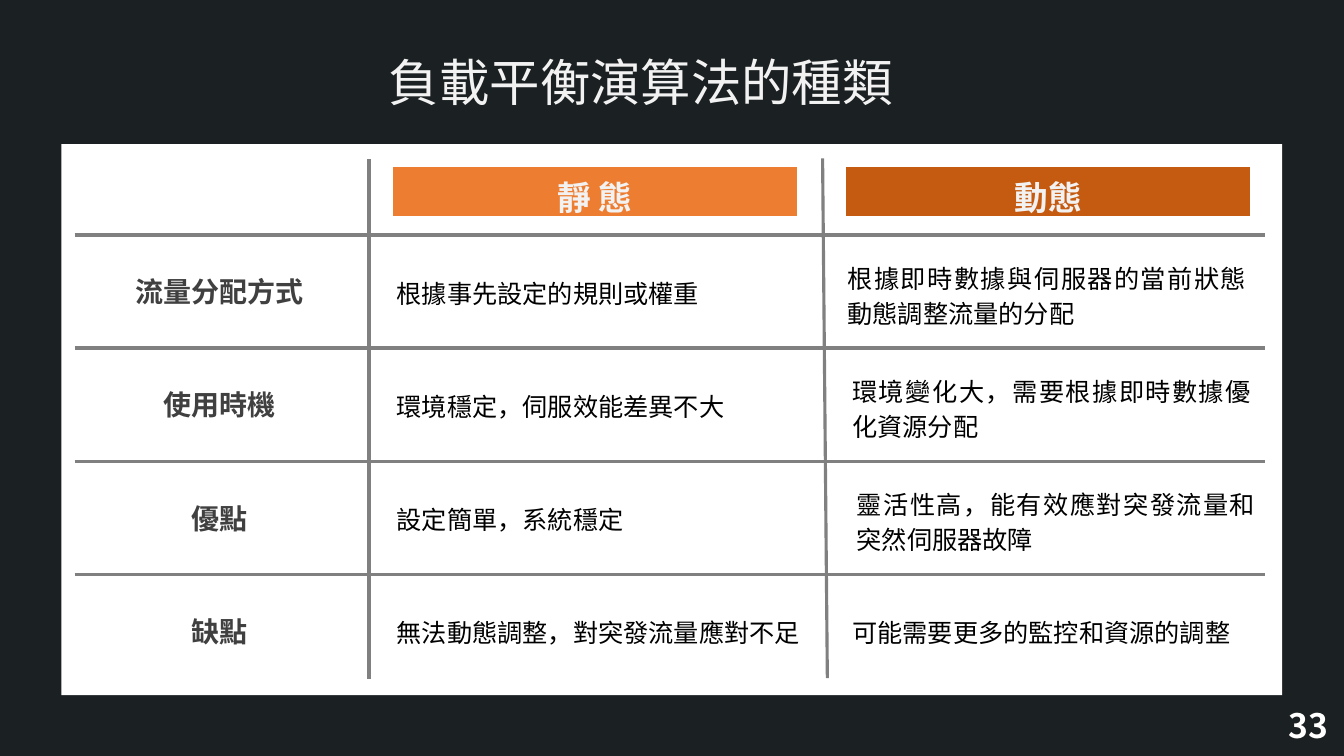
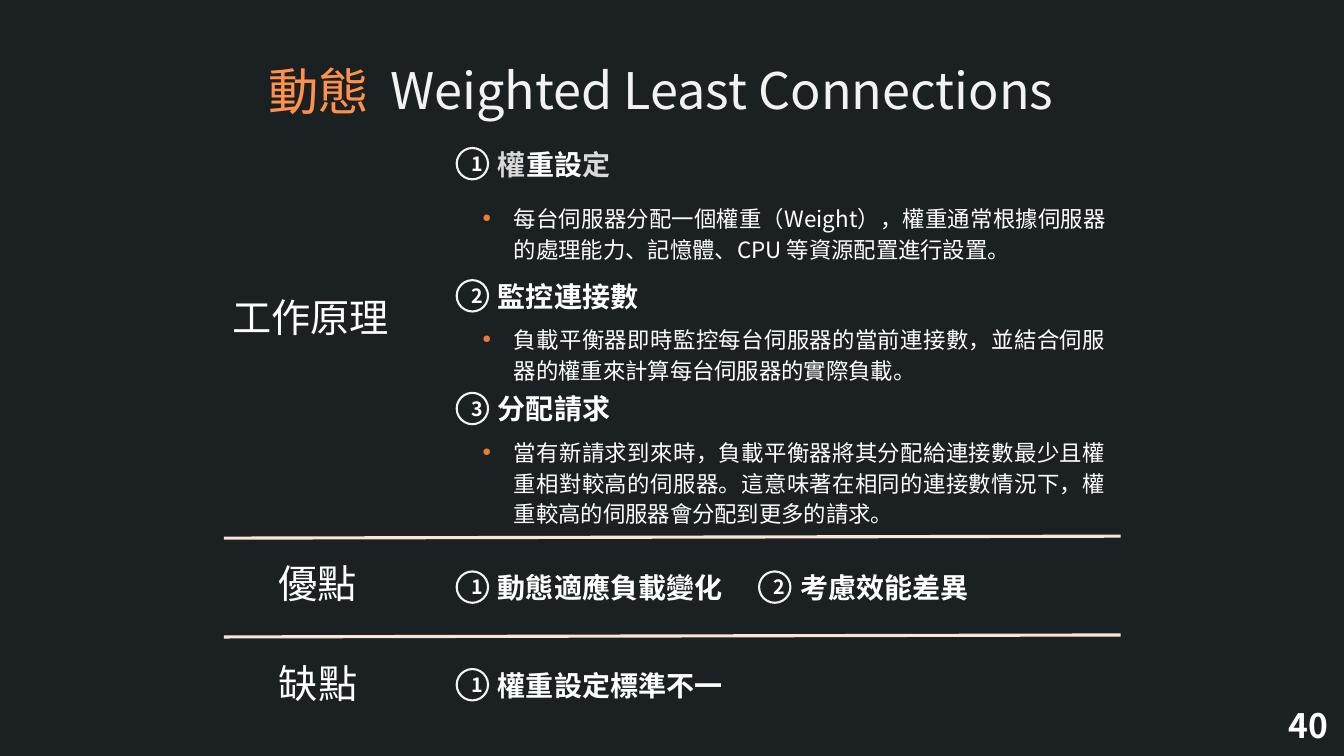
from dataclasses import dataclass

from lxml import etree
from pptx import Presentation
from pptx.dml.color import RGBColor
from pptx.enum.shapes import MSO_CONNECTOR, MSO_SHAPE
from pptx.enum.text import MSO_ANCHOR, PP_ALIGN
from pptx.oxml.ns import qn
from pptx.util import Cm, Pt

STRAIGHT = MSO_CONNECTOR.STRAIGHT
RECTANGLE = MSO_SHAPE.RECTANGLE
CIRCLE = MSO_SHAPE.FLOWCHART_CONNECTOR
MIDDLE = MSO_ANCHOR.MIDDLE
LEFT, CENTER, JUSTIFY = PP_ALIGN.LEFT, PP_ALIGN.CENTER, PP_ALIGN.JUSTIFY


@dataclass(frozen=True)
class Theme:
    font: str = "Noto Sans CJK SC"
    background: str = "1B2022"
    white: str = "FFFFFF"
    black: str = "000000"
    title: str = "F2F2F2"
    label: str = "404040"
    faded: str = "D9D9D9"
    highlight: str = "FF914C"
    static: str = "ED7D31"
    dynamic: str = "C55A11"
    grid: str = "808080"
    divider: str = "FBE5D6"
    title_size: int = 36
    section_size: int = 28
    header_size: int = 24
    heading_size: int = 20
    cell_size: int = 18
    body_size: int = 16
    badge_size: int = 14
    rule_width: float = 2.25
    badge_width: float = 1.5


theme = Theme()


def write(frame, runs, size, bold=False, align=LEFT, spacing=None):
    frame.word_wrap = True
    paragraph = frame.paragraphs[0]
    paragraph.alignment = align
    if spacing:
        paragraph.line_spacing = spacing
    for text, color in runs:
        run = paragraph.add_run()
        run.text = text
        run.font.name = theme.font
        run.font.size = Pt(size)
        run.font.bold = bold
        run.font.color.rgb = RGBColor.from_string(color)
        etree.SubElement(run.font._element, qn("a:ea"), typeface=theme.font)
    return paragraph


def draw_rule(slide, start_x, start_y, end_x, end_y, color):
    rule = slide.shapes.add_connector(
        STRAIGHT, Cm(start_x), Cm(start_y), Cm(end_x), Cm(end_y))
    rule.line.color.rgb = RGBColor.from_string(color)
    rule.line.width = Pt(theme.rule_width)
    etree.SubElement(rule._element.spPr, qn("a:effectLst"))


prs = Presentation()
prs.slide_width = Cm(33.87)
prs.slide_height = Cm(19.05)
master_fill = prs.slide_master.background.fill
master_fill.solid()
master_fill.fore_color.rgb = RGBColor.from_string(theme.background)
blank = prs.slide_layouts[6]
comparison = prs.slides.add_slide(blank)
algorithm = prs.slides.add_slide(blank)

titles = [
    (comparison, 9.55, 1.17, 13.7, "負載平衡演算法的種類", theme.title),
    (algorithm, 9.58, 1.37, 18.03, "Weighted Least Connections", theme.title),
    (algorithm, 6.52, 1.4, 3.53, "動態", theme.highlight),
]
for slide, left, top, width, text, color in titles:
    title = slide.shapes.add_textbox(Cm(left), Cm(top), Cm(width), Cm(1.8))
    write(title.text_frame, [(text, color)], theme.title_size)

for slide, number in [(comparison, "33"), (algorithm, "40")]:
    page = slide.shapes.add_textbox(Cm(32.23), Cm(17.63), Cm(1.6), Cm(1.27))
    write(page.text_frame, [(number, theme.white)], theme.header_size, bold=True)

panel = comparison.shapes.add_shape(RECTANGLE, Cm(1.55), Cm(3.63), Cm(30.76), Cm(13.89))
panel.shadow.inherit = False
panel.fill.solid()
panel.fill.fore_color.rgb = RGBColor.from_string(theme.white)
panel.line.fill.background()

for left, text, color in [(9.88, "靜 態", theme.static), (21.31, "動態", theme.dynamic)]:
    header = comparison.shapes.add_table(1, 1, Cm(left), Cm(4.19), Cm(10.21), Cm(1.1))
    cell = header.table.cell(0, 0)
    cell.fill.solid()
    cell.fill.fore_color.rgb = RGBColor.from_string(color)
    write(cell.text_frame, [(text, theme.title)], theme.header_size, True, CENTER)

row_pitch = 2.85
two_lines, one_line = 6.4, 6.77
criteria = [
    ("流量分配方式", "根據事先設定的規則或權重",
     "根據即時數據與伺服器的當前狀態動態調整流量的分配", 21.11, two_lines),
    ("使用時機", "環境穩定，伺服效能差異不大",
     "環境變化大，需要根據即時數據優化資源分配", 21.23, two_lines),
    ("優點", "設定簡單，系統穩定",
     "靈活性高，能有效應對突發流量和突然伺服器故障", 21.34, two_lines),
    ("缺點", "無法動態調整，對突發流量應對不足",
     "可能需要更多的監控和資源的調整", 21.23, one_line),
]
for row, (label, static, dynamic, dynamic_left, dynamic_top) in enumerate(criteria):
    offset = row * row_pitch
    draw_rule(comparison, 1.88, 5.92 + offset, 31.88, 5.92 + offset, theme.grid)
    criterion = comparison.shapes.add_textbox(
        Cm(1.86), Cm(6.8 + offset), Cm(7.35), Cm(1.12))
    write(criterion.text_frame, [(label, theme.label)], theme.heading_size, True, CENTER)
    descriptions = [
        (static, 9.75, one_line, 11.2, LEFT),
        (dynamic, dynamic_left, dynamic_top, 10.55, JUSTIFY),
    ]
    for text, left, top, width, align in descriptions:
        description = comparison.shapes.add_textbox(
            Cm(left), Cm(top + offset), Cm(width), Cm(1.07))
        write(description.text_frame, [(text, theme.black)], theme.cell_size,
              align=align, spacing=1.15)

draw_rule(comparison, 9.3, 4.01, 9.3, 17.12, theme.grid)
draw_rule(comparison, 20.73, 3.99, 20.85, 17.09, theme.grid)

sections = [("工作原理", 5.61, 7.26), ("優點", 6.76, 13.97), ("缺點", 6.78, 16.48)]
for text, left, top in sections:
    section = algorithm.shapes.add_textbox(Cm(left), Cm(top), Cm(5.33), Cm(1.45))
    write(section.text_frame, [(text, theme.white)], theme.section_size)

for divider_top in (13.51, 16.0):
    draw_rule(algorithm, 5.64, divider_top + 0.05, 28.24, divider_top, theme.divider)

badge_diameter = 0.79
headings = [
    ("1", [("權", theme.faded), ("重設", theme.white), ("定", theme.faded)], 11.51, 3.58),
    ("2", [("監控連接數", theme.white)], 11.51, 6.91),
    ("3", [("分配請求", theme.white)], 11.51, 9.75),
    ("1", [("動態適應負載變化", theme.white)], 11.51, 14.25),
    ("2", [("考慮效能差異", theme.white)], 19.13, 14.25),
    ("1", [("權重設定標準不一", theme.white)], 11.51, 16.71),
]
for number, runs, left, top in headings:
    badge = algorithm.shapes.add_shape(
        CIRCLE, Cm(left), Cm(top + 0.15), Cm(badge_diameter), Cm(badge_diameter))
    badge.shadow.inherit = False
    badge.fill.background()
    badge.line.color.rgb = RGBColor.from_string(theme.title)
    badge.line.width = Pt(theme.badge_width)
    badge.text_frame.vertical_anchor = MIDDLE
    write(badge.text_frame, [(number, theme.white)], theme.badge_size, True, CENTER)
    heading = algorithm.shapes.add_textbox(
        Cm(left + badge_diameter), Cm(top), Cm(6.6), Cm(1.12))
    write(heading.text_frame, runs, theme.heading_size, bold=True)

steps = [
    (4.95, 1.75, "每台伺服器分配一個權重（Weight），權重通常根據伺服器的處理能力、記憶體、CPU 等資源配置進行設置。"),
    (8.0, 1.75, "負載平衡器即時監控每台伺服器的當前連接數，並結合伺服器的權重來計算每台伺服器的實際負載。"),
    (10.85, 2.54, "當有新請求到來時，負載平衡器將其分配給連接數最少且權重相對較高的伺服器。"
                  "這意味著在相同的連接數情況下，權重較高的伺服器會分配到更多的請求。"),
]
for top, height, text in steps:
    step = algorithm.shapes.add_textbox(Cm(11.91), Cm(top), Cm(16.21), Cm(height))
    paragraph = write(step.text_frame, [(text, theme.white)], theme.body_size,
                      align=JUSTIFY, spacing=1.14)
    properties = paragraph._p.get_or_add_pPr()
    properties.set("marL", str(Cm(0.79)))
    properties.set("indent", str(-Cm(0.79)))
    bullet_color = etree.SubElement(properties, qn("a:buClr"))
    etree.SubElement(bullet_color, qn("a:srgbClr"), val=theme.static)
    etree.SubElement(properties, qn("a:buSzPct"), val="50000")
    etree.SubElement(properties, qn("a:buChar"), char="●")

prs.save("out.pptx")
